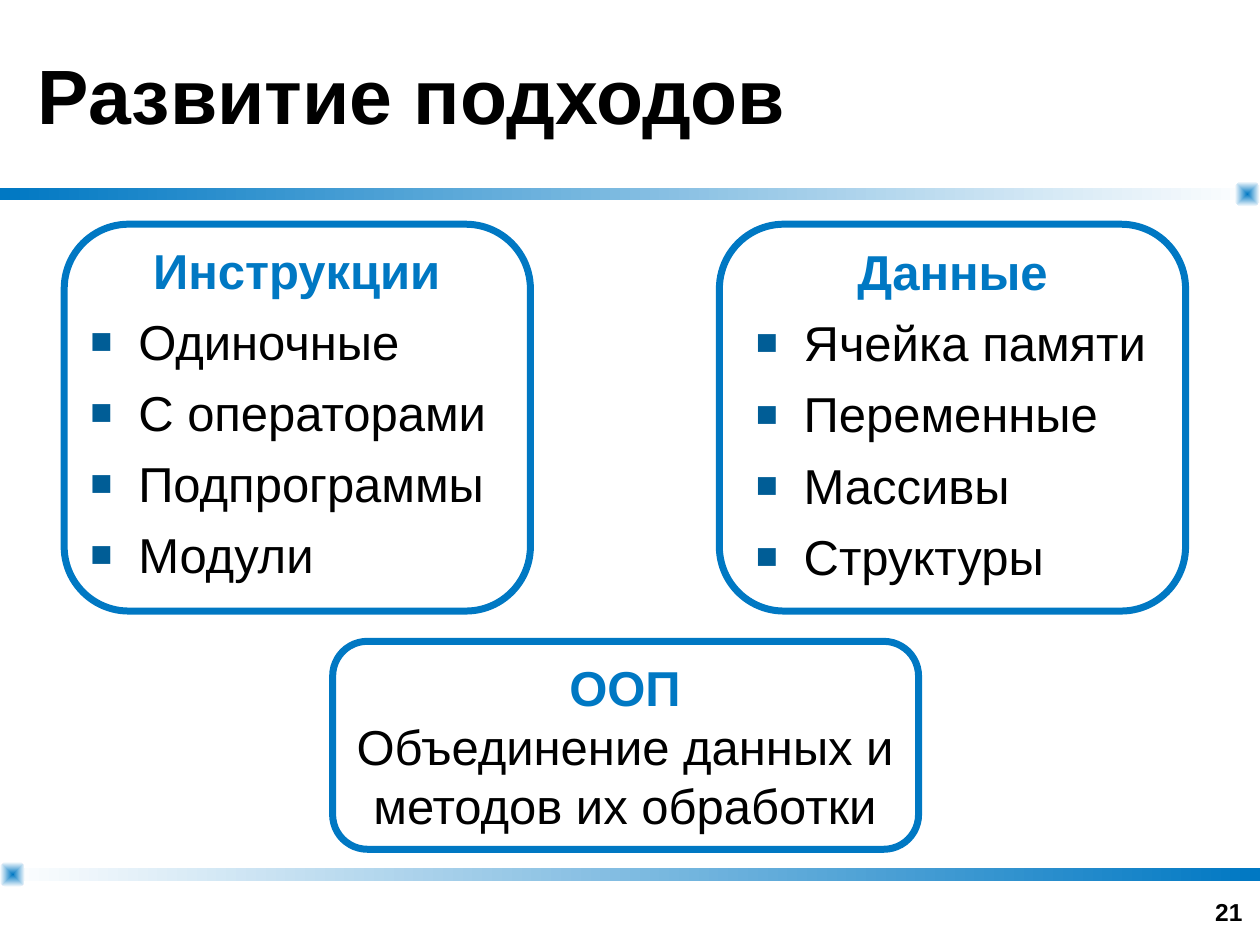
from dataclasses import dataclass

import lxml.etree
import pptx
import pptx.dml.color
import pptx.enum.shapes
import pptx.enum.text
import pptx.oxml.ns
import pptx.util

ALIGN = pptx.enum.text.PP_ALIGN
ANCHOR = pptx.enum.text.MSO_ANCHOR
SHAPE = pptx.enum.shapes.MSO_SHAPE
WIDTH, HEIGHT = 10, 7.5


@dataclass(frozen=True)
class Theme:
    font: str = "Arial"
    accent: str = "0078C3"
    bullet: str = "005D96"
    ink: str = "000000"
    paper: str = "FFFFFF"
    title_size: float = 44
    body_size: float = 28
    number_size: float = 14
    frame_line: float = 4
    bullet_gap: float = 7


THEME = Theme()


def color(code):
    return pptx.dml.color.RGBColor.from_string(code)


def inches(*lengths):
    return [pptx.util.Inches(length) for length in lengths]


def add_xml(parent, tag, **attributes):
    return lxml.etree.SubElement(parent, pptx.oxml.ns.qn(tag), attributes)


def add_span(para, text, size, ink=THEME.ink, bold=False):
    span = para.add_run()
    span.text = text
    span.font.name = THEME.font
    span.font.size = pptx.util.Pt(size)
    span.font.bold = bold
    span.font.color.rgb = color(ink)


def add_box(page, left, top, width, height, wrap=True):
    frame = page.shapes.add_textbox(*inches(left, top, width, height)).text_frame
    frame.word_wrap = wrap
    return frame


def add_heading(frame, text):
    para = frame.paragraphs[0]
    para.alignment = ALIGN.CENTER
    add_span(para, text, THEME.body_size, THEME.accent, True)


def add_bullet(frame, text):
    para = frame.add_paragraph()
    para.space_before = pptx.util.Pt(THEME.bullet_gap)
    props = para._p.get_or_add_pPr()
    indent = pptx.util.Inches(0.38)
    props.set("marL", str(indent))
    props.set("indent", str(-indent))
    add_xml(add_xml(props, "a:buClr"), "a:srgbClr", val=THEME.bullet)
    add_xml(props, "a:buSzPct", val="75000")
    add_xml(props, "a:buFont", typeface=THEME.font)
    add_xml(props, "a:buChar", char="■")
    add_span(para, text, THEME.body_size)


def add_list(page, left, top, width, heading, items):
    frame = add_box(page, left, top, width, 2.9)
    add_heading(frame, heading)
    for item in items:
        add_bullet(frame, item)


def add_gradient(page, kind, left, top, width, height, start, end):
    shape = page.shapes.add_shape(kind, *inches(left, top, width, height))
    shape.shadow.inherit = False
    shape.line.fill.background()
    shape.fill.gradient()
    shape.fill.gradient_angle = 0
    for stop, code in zip(shape.fill.gradient_stops, (start, end)):
        stop.color.rgb = color(code)
    return shape


def add_corner(page, left, top, side):
    corner = add_gradient(page, SHAPE.ROUNDED_RECTANGLE, left, top, side, side,
                          THEME.accent, THEME.paper)
    corner.adjustments[0] = 0.318
    gradient = corner._element.spPr.find(pptx.oxml.ns.qn("a:gradFill"))
    gradient.remove(gradient.find(pptx.oxml.ns.qn("a:lin")))
    center = dict.fromkeys("ltrb", "50000")
    add_xml(add_xml(gradient, "a:path", path="rect"), "a:fillToRect", **center)


def add_bands(page):
    thickness, side = 0.1, 0.2
    bands = (
        (1.49, THEME.accent, THEME.paper, WIDTH - side),
        (6.89, THEME.paper, THEME.accent, 0),
    )
    for top, start, end, corner_left in bands:
        add_gradient(page, SHAPE.RECTANGLE, 0, top, WIDTH, thickness, start, end)
        add_corner(page, corner_left, top - thickness / 2, side)


def add_frame(page, left, top, width, height):
    shape = page.shapes.add_shape(
        SHAPE.ROUNDED_RECTANGLE, *inches(left, top, width, height))
    shape.shadow.inherit = False
    shape.fill.background()
    shape.line.color.rgb = color(THEME.accent)
    shape.line.width = pptx.util.Pt(THEME.frame_line)


def set_title(page, text):
    title = page.shapes.title
    title.left, title.top, title.width, title.height = inches(0.2, 0, WIDTH - 0.4, 1.49)
    frame = title.text_frame
    frame.auto_size = pptx.enum.text.MSO_AUTO_SIZE.NONE
    frame.vertical_anchor = ANCHOR.MIDDLE
    para = frame.paragraphs[0]
    para.alignment = ALIGN.LEFT
    add_span(para, text, THEME.title_size, bold=True)


def add_page_number(page, number):
    frame = add_box(page, 7.63, 6.9, 2.33, 0.5)
    frame.vertical_anchor = ANCHOR.BOTTOM
    para = frame.paragraphs[0]
    para.alignment = ALIGN.RIGHT
    add_span(para, number, THEME.number_size, bold=True)


def add_summary(page, heading, lines):
    frame = add_box(page, 2.72, 5.17, 4.48, 1.5, wrap=False)
    add_heading(frame, heading)
    para = frame.add_paragraph()
    para.alignment = ALIGN.CENTER
    for index, line in enumerate(lines):
        if index:
            para.add_line_break()
        add_span(para, line, THEME.body_size)


def main():
    deck = pptx.Presentation()
    deck.slide_width, deck.slide_height = inches(WIDTH, HEIGHT)
    page = deck.slides.add_slide(deck.slide_layouts[5])
    add_bands(page)
    add_page_number(page, "21")
    set_title(page, "Развитие подходов")
    add_list(page, 0.62, 1.86, 3.47, "Инструкции",
             ("Одиночные", "С операторами", "Подпрограммы", "Модули"))
    add_list(page, 5.9, 1.87, 3.32, "Данные",
             ("Ячейка памяти", "Переменные", "Массивы", "Структуры"))
    add_summary(page, "ООП", ("Объединение данных и", "методов их обработки"))
    for left in (0.51, 5.71):
        add_frame(page, left, 1.78, 3.7, 3.07)
    add_frame(page, 2.64, 5.09, 4.65, 1.65)
    deck.save("out.pptx")


if __name__ == "__main__":
    main()
